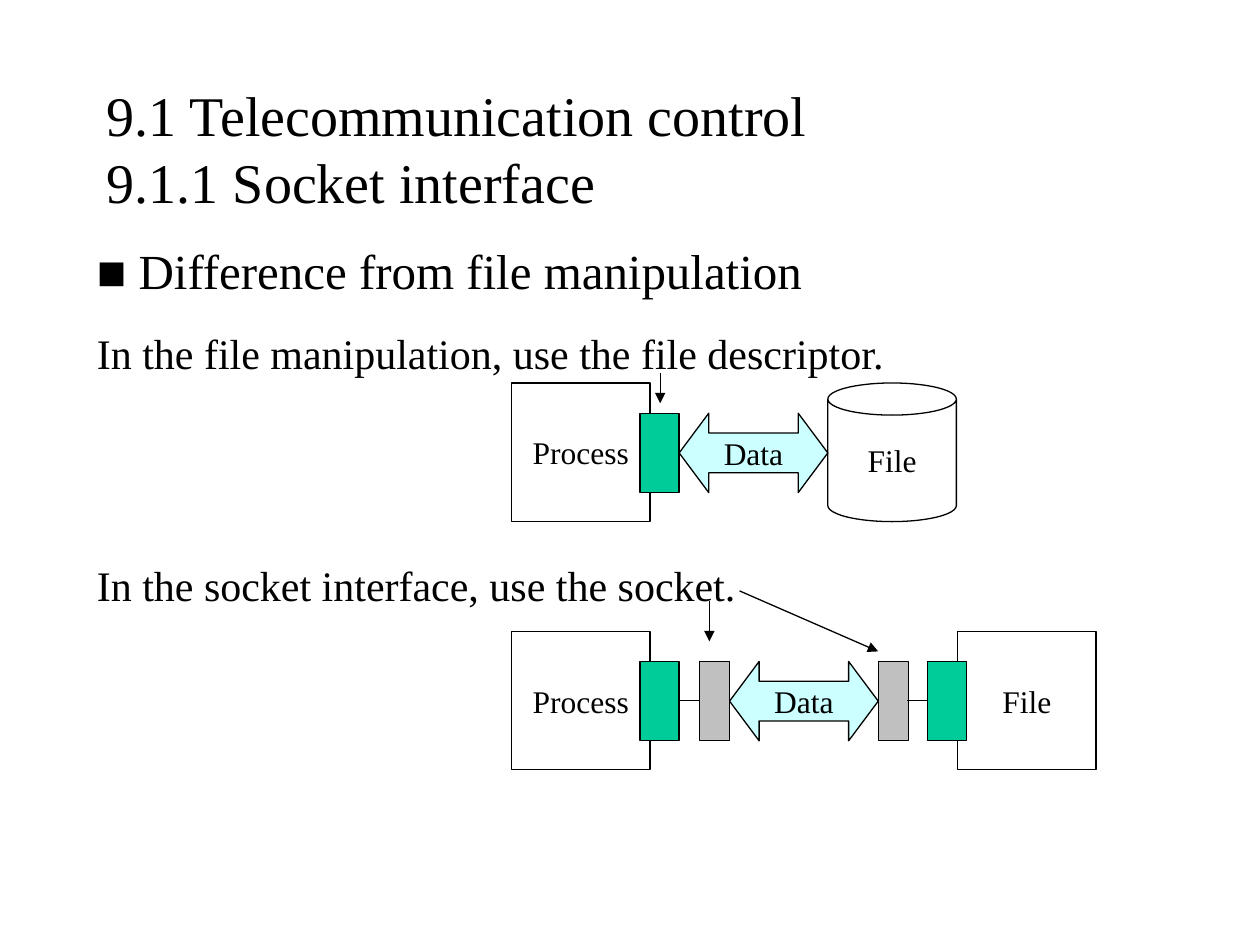
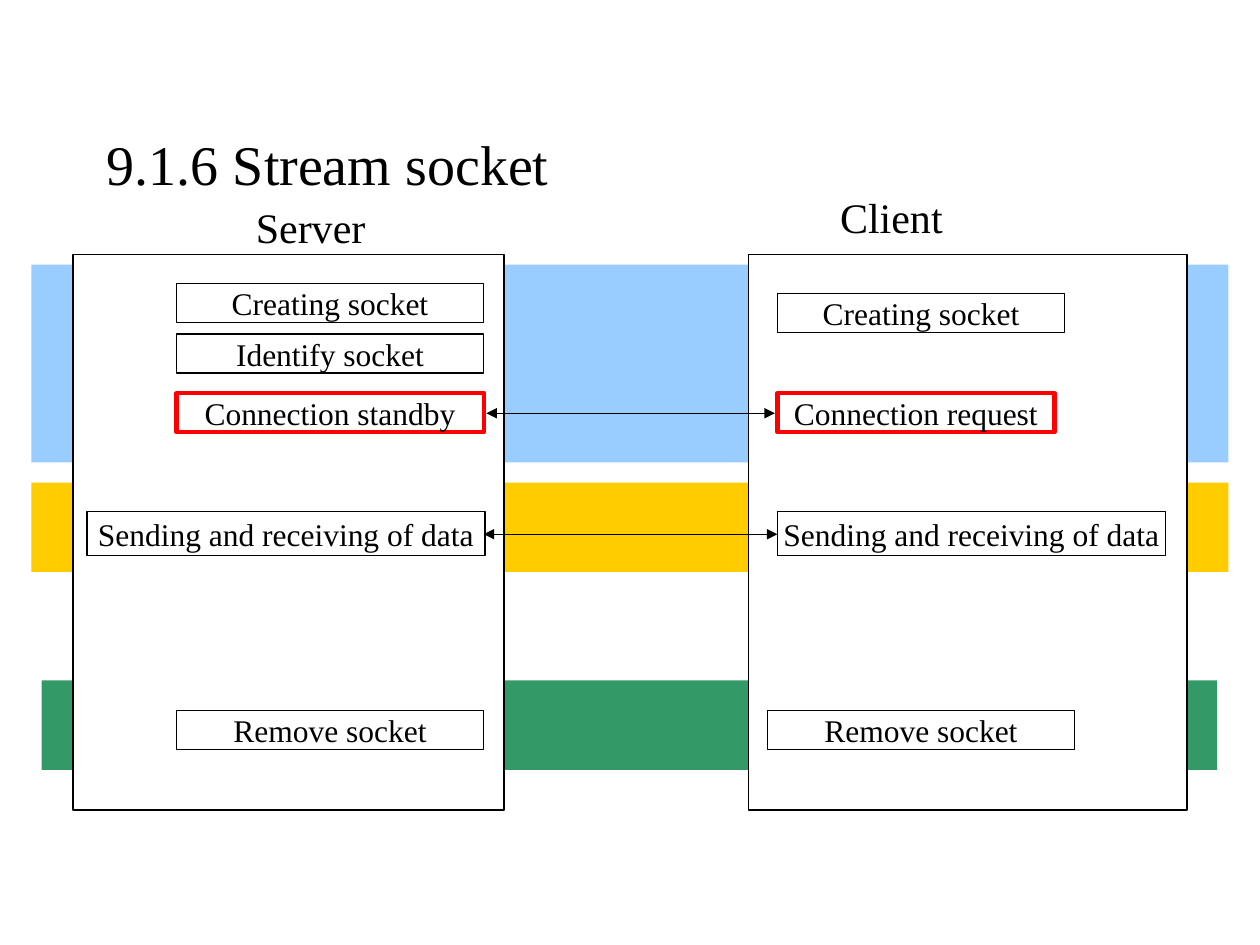
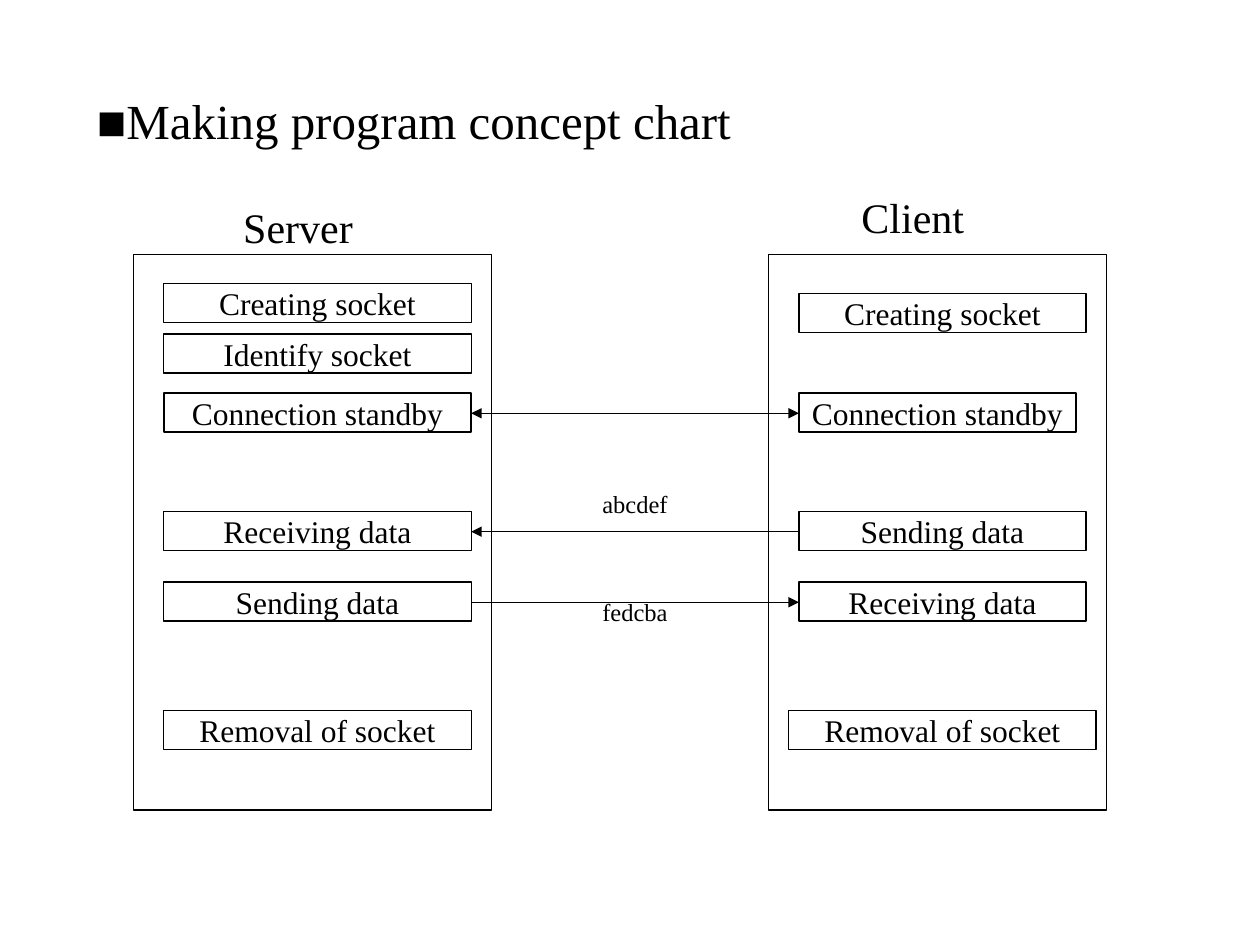
from lxml import etree
from pptx import Presentation
from pptx.dml.color import RGBColor
from pptx.enum.shapes import MSO_CONNECTOR as Connector, MSO_SHAPE as Preset
from pptx.enum.text import MSO_ANCHOR as Anchor, PP_ALIGN as Align
from pptx.oxml.ns import qn
from pptx.util import Inches, Pt

FONT = "Times New Roman"
BLACK = RGBColor(0x00, 0x00, 0x00)
WHITE = RGBColor(0xFF, 0xFF, 0xFF)
RED = RGBColor(0xFF, 0x00, 0x00)
TEAL = RGBColor(0x00, 0xCC, 0x99)
SILVER = RGBColor(0xC0, 0xC0, 0xC0)
PALE_CYAN = RGBColor(0xCC, 0xFF, 0xFF)
SKY = RGBColor(0x99, 0xCC, 0xFF)
AMBER = RGBColor(0xFF, 0xCC, 0x00)
GREEN = RGBColor(0x33, 0x99, 0x66)

STEP_HEIGHT = 0.31
SERVER_STEP = 2.44
CLIENT_STEP = 2.28
REQUEST_STEP = 2.2
PORT_WIDTH, PORT_HEIGHT = 0.31, 0.63


def write(paragraph, text, size=18, align=Align.LEFT, before=0):
    """Fill a paragraph with formatted text."""
    paragraph.text = text
    paragraph.alignment = align
    paragraph.space_before = Pt(before)
    for run in paragraph.runs:
        run.font.name = FONT
        run.font.size = Pt(size)
        run.font.color.rgb = BLACK


def add_label(slide, text, left, top, width, height, anchor=Anchor.TOP, **style):
    """Add a wrapping text box and return its frame."""
    frame = slide.shapes.add_textbox(
        Inches(left), Inches(top), Inches(width), Inches(height)).text_frame
    frame.word_wrap = True
    frame.vertical_anchor = anchor
    write(frame.paragraphs[0], text, **style)
    return frame


def add_title(slide, text, height):
    """Add the slide title."""
    add_label(slide, text, 0.75, 0.67, 8.5, height, anchor=Anchor.MIDDLE, size=32)


def add_block(slide, left, top, width, height, text="", preset=Preset.RECTANGLE,
              fill=WHITE, line=BLACK, weight=0.75, adjustments=()):
    """Add a filled shape with an optional outline and centred text."""
    block = slide.shapes.add_shape(
        preset, Inches(left), Inches(top), Inches(width), Inches(height))
    block.shadow.inherit = False
    block.fill.solid()
    block.fill.fore_color.rgb = fill
    if line is None:
        block.line.fill.background()
    else:
        block.line.color.rgb = line
        block.line.width = Pt(weight)
    for index, value in enumerate(adjustments):
        block.adjustments[index] = value
    if text:
        frame = block.text_frame
        frame.word_wrap = False
        frame.vertical_anchor = Anchor.MIDDLE
        write(frame.paragraphs[0], text, align=Align.CENTER)


def add_line(slide, start, end, head=False, tail=False):
    """Add a thin black line with optional arrowheads."""
    link = slide.shapes.add_connector(
        Connector.STRAIGHT, *(Inches(value) for value in (*start, *end)))
    link.line.color.rgb = BLACK
    link.line.width = Pt(0.75)
    outline = link.line._get_or_add_ln()
    for tag, wanted in (("a:headEnd", head), ("a:tailEnd", tail)):
        if wanted:
            etree.SubElement(outline, qn(tag), type="triangle")
    etree.SubElement(link._element.spPr, qn("a:effectLst"))


def add_port(slide, left, top):
    """Add the descriptor at the edge of a process or file."""
    add_block(slide, left, top, PORT_WIDTH, PORT_HEIGHT, fill=TEAL)


def add_process(slide, top):
    """Add the process box with its descriptor."""
    add_block(slide, 4.06, top, 1.1, 1.1, "Process")
    add_port(slide, 5.08, top + 0.24)


def add_data(slide, left, top):
    """Add the two-way data arrow."""
    add_block(slide, left, top, 1.18, PORT_HEIGHT, "Data", Preset.LEFT_RIGHT_ARROW,
              PALE_CYAN, adjustments=(0.5, 0.373))


def add_step(slide, text, left, top, width, height=STEP_HEIGHT, **style):
    """Add one step of the socket procedure."""
    add_block(slide, left, top, width, height, text, **style)


def add_exchange(slide, server, client, panels, request, removal, **request_style):
    """Add server and client panels with the steps both charts share."""
    for left, width in panels:
        add_block(slide, left, 2.02, width, 4.41)
    heading = dict(size=24, align=Align.CENTER)
    add_label(slide, "Server", server + 0.24, 1.55, 1.65, 0.5, **heading)
    add_label(slide, "Client", client - 0.08, 1.47, 1.97, 0.5, **heading)
    add_step(slide, "Creating socket", server, 2.25, SERVER_STEP)
    add_step(slide, "Creating socket", client, 2.33, CLIENT_STEP)
    add_step(slide, "Identify socket", server, 2.65, SERVER_STEP)
    add_step(slide, "Connection standby", server, 3.12, SERVER_STEP, **request_style)
    add_step(slide, request, client, 3.12, REQUEST_STEP, **request_style)
    for left in (server, client - 0.08):
        add_step(slide, removal, left, 5.64, SERVER_STEP)


def build_socket_interface(slide):
    """Compare file manipulation with the socket interface."""
    add_title(slide, "9.1 Telecommunication control\v9.1.1 Socket interface", 1)
    body = add_label(slide, "■ Difference from file manipulation",
                     0.67, 1.86, 8.35, 3, size=28)
    for text, before in (("In the file manipulation, use the file descriptor.", 16),
                         ("In the socket interface, use the socket.", 104)):
        write(body.add_paragraph(), text, size=24, before=before)

    file_top, socket_top = 3.04, 5.01
    add_process(slide, file_top)
    add_block(slide, 6.57, file_top, 1.02, 1.1, "File", Preset.CAN,
              adjustments=(0.25,))
    add_line(slide, (5.24, 2.96), (5.24, 3.2), tail=True)
    add_data(slide, 5.39, file_top + 0.24)

    add_process(slide, socket_top)
    add_block(slide, 7.6, socket_top, 1.1, 1.1, "File")
    port_top = socket_top + 0.24
    add_port(slide, 7.36, port_top)
    for socket_left in (5.55, 6.97):
        add_block(slide, socket_left, port_top, 0.24, PORT_HEIGHT, fill=SILVER)
    for start, end in ((5.39, 5.55), (7.2, 7.36)):
        add_line(slide, (start, 5.56), (end, 5.56))
    add_line(slide, (5.63, 4.77), (5.63, 5.09), tail=True)
    add_line(slide, (5.87, 4.69), (6.97, 5.17), tail=True)
    add_data(slide, 5.79, port_top)


def build_stream_socket(slide):
    """Show the phases of a stream socket."""
    server, client = 1.4, 6.17
    for left, top, width, height, colour in ((0.33, 5.4, 9.33, 0.71, GREEN),
                                             (0.25, 3.83, 9.5, 0.71, AMBER),
                                             (0.25, 2.1, 9.5, 1.57, SKY)):
        add_block(slide, left, top, width, height, fill=colour, line=None)
    add_title(slide, "9.1.6 Stream socket", 1.25)
    add_exchange(slide, server, client, ((0.58, 3.42), (5.94, 3.48)),
                 "Connection request", "Remove socket", line=RED, weight=2.5)
    for left, width in ((0.69, 3.16), (client, 3.08)):
        add_step(slide, "Sending and receiving of data", left, 4.06, width, 0.35)
    add_line(slide, (3.86, 3.28), (6.15, 3.28), head=True, tail=True)
    add_line(slide, (3.84, 4.24), (client, 4.24), head=True, tail=True)


def build_concept_chart(slide):
    """Show the messages between the server and client programs."""
    server, client = 1.3, 6.34
    server_edge = server + SERVER_STEP
    add_label(slide, "■Making program concept chart", 0.67, 0.67, 7.01, 0.57, size=28)
    add_exchange(slide, server, client, ((1.06, 2.84), (6.1, 2.68)),
                 "Connection standby", "Removal of socket", weight=1)
    for server_text, client_text, top in (("Receiving data", "Sending data", 4.06),
                                          ("Sending data", "Receiving data", 4.62)):
        add_step(slide, server_text, server, top, SERVER_STEP)
        add_step(slide, client_text, client, top, CLIENT_STEP)
    add_line(slide, (server_edge, 3.28), (client, 3.28), head=True, tail=True)
    add_line(slide, (client, 4.22), (server_edge, 4.22), tail=True)
    add_line(slide, (server_edge, 4.78), (client, 4.78), tail=True)
    for message, top in (("abcdef", 3.83), ("fedcba", 4.69)):
        add_label(slide, message, 4.29, top, 1.5, 0.34, size=14, align=Align.CENTER)


def main():
    """Build and save the presentation."""
    deck = Presentation()
    deck.slide_width, deck.slide_height = Inches(10), Inches(7.5)
    for build in (build_socket_interface, build_stream_socket, build_concept_chart):
        build(deck.slides.add_slide(deck.slide_layouts[6]))
    deck.save("out.pptx")


if __name__ == "__main__":
    main()
